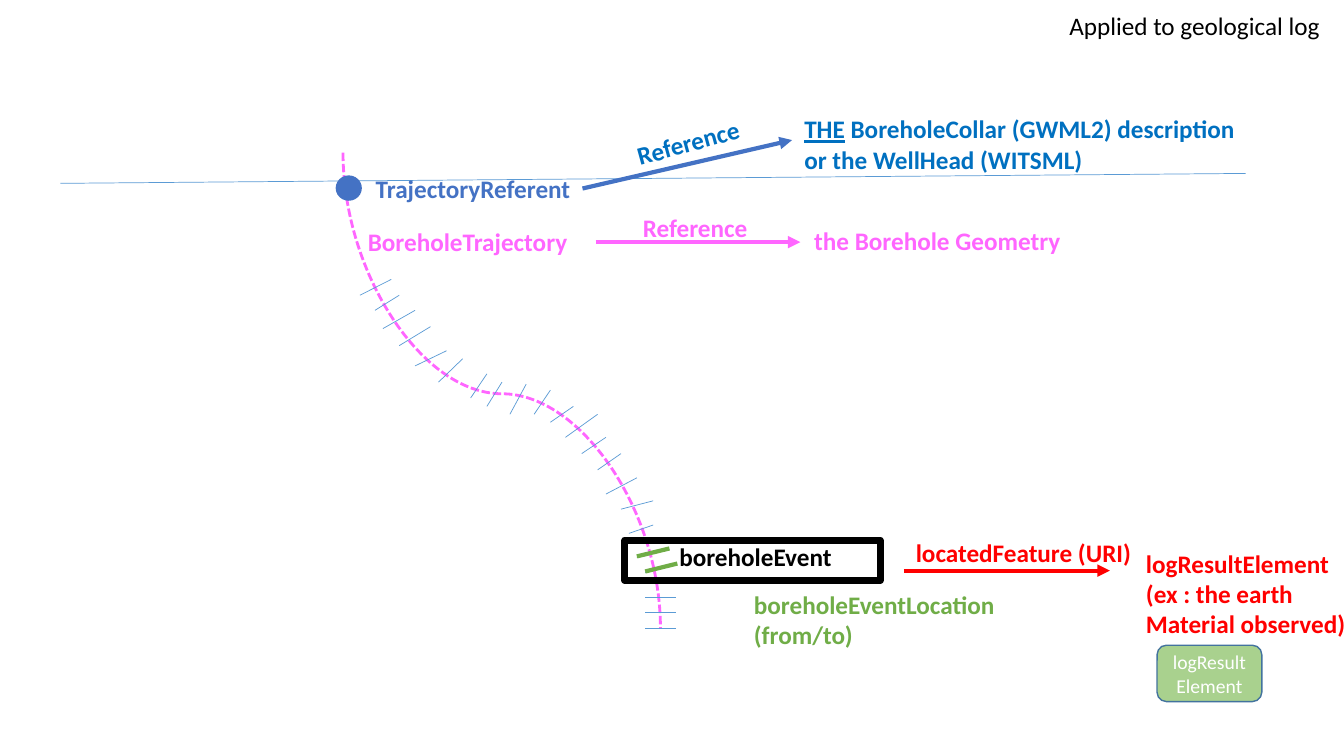
"""Builds the slide that applies the borehole model to a geological log."""
import dataclasses

import lxml.etree
import pptx
import pptx.dml.color
import pptx.enum.dml
import pptx.enum.shapes
import pptx.enum.text
import pptx.oxml.ns
import pptx.util


@dataclasses.dataclass(frozen=True)
class Theme:
    """Colours, font and type sizes of the slide."""
    font: str = "Calibri"
    body: int = 18
    small: int = 14
    black: str = "000000"
    white: str = "FFFFFF"
    pink: str = "FF66FF"
    red: str = "FF0000"
    sky: str = "5B9BD5"
    blue: str = "4472C4"
    deep_blue: str = "0070C0"
    green: str = "70AD47"
    pale_green: str = "A9D18E"
    outline: str = "43739E"


THEME = Theme()

TICKS = [
    (9.07, 7.44, 9.86, 7.04), (9.45, 7.82, 10.06, 7.44),
    (9.65, 8.28, 10.46, 7.82), (10.06, 8.71, 10.85, 8.23),
    (10.46, 9.22, 11.25, 8.84), (11.05, 9.63, 11.66, 9.04),
    (11.86, 10.03, 12.27, 9.42), (12.27, 10.24, 12.65, 9.63),
    (12.85, 10.44, 13.26, 9.68), (13.46, 10.44, 13.87, 9.83),
    (13.87, 10.64, 14.45, 10.24), (14.25, 11.02, 15.06, 10.44),
    (14.66, 11.43, 15.27, 11.02), (15.06, 11.84, 15.65, 11.43),
    (15.27, 12.45, 16.05, 12.04), (15.65, 12.83, 16.46, 12.62),
    (15.85, 13.44, 16.46, 13.23), (16.05, 14.05, 16.87, 13.84),
    (16.26, 14.43, 17.04, 14.22),
] + [(16.26, 15.04 + 0.4 * row, 17.04, 15.04 + 0.4 * row) for row in range(3)]

EVENT_BOUNDS = [(16.05, 14.02, 16.87, 13.82), (16.26, 14.4, 17.07, 14.2)]


def rgb(color):
    """Return the colour object for a hex string."""
    return pptx.dml.color.RGBColor.from_string(color)


def cm(*values):
    """Return the values as centimetre lengths."""
    return [pptx.util.Cm(value) for value in values]


def write(paragraph, text, *, color, size=THEME.body, bold=True, underline=False):
    """Add a formatted run to a paragraph."""
    run = paragraph.add_run()
    run.text = text
    run.font.name = THEME.font
    run.font.size = pptx.util.Pt(size)
    run.font.bold = bold
    run.font.underline = underline
    run.font.color.rgb = rgb(color)


def add_label(slide, place, lines, color, *, bold=True, wrap=False, rotation=0, underlined=""):
    """Add a text box with one paragraph per line, led by an underlined word if given."""
    label = slide.shapes.add_textbox(*cm(*place))
    label.rotation = rotation
    frame = label.text_frame
    frame.word_wrap = wrap
    frame.auto_size = pptx.enum.text.MSO_AUTO_SIZE.SHAPE_TO_FIT_TEXT
    if underlined:
        write(frame.paragraphs[0], underlined, color=color, bold=bold, underline=True)
    for index, line in enumerate(lines):
        paragraph = frame.add_paragraph() if index else frame.paragraphs[0]
        write(paragraph, line, color=color, bold=bold)


def add_line(slide, ends, color, width, *, kind="STRAIGHT", arrow=False):
    """Add a connector between two points, with an arrowhead if asked."""
    connector = slide.shapes.add_connector(
        pptx.enum.shapes.MSO_CONNECTOR[kind], *cm(*ends))
    connector.line.color.rgb = rgb(color)
    connector.line.width = pptx.util.Pt(width)
    if arrow:
        lxml.etree.SubElement(connector.line._get_or_add_ln(),
                              pptx.oxml.ns.qn("a:tailEnd"), type="triangle")
    lxml.etree.SubElement(connector._element.spPr, pptx.oxml.ns.qn("a:effectLst"))
    return connector


def add_trajectory(slide):
    """Add the dashed S-curve of the borehole."""
    trajectory = add_line(slide, (6.65, 5.84, 18.64, 13.84), THEME.pink, 2, kind="CURVE")
    trajectory.line.dash_style = pptx.enum.dml.MSO_LINE.SQUARE_DOT
    properties = trajectory._element.spPr
    placement = properties.find(pptx.oxml.ns.qn("a:xfrm"))
    placement.set("rot", str(270 * 60000))
    placement.set("flipH", "1")
    adjustments = next(properties.iter(pptx.oxml.ns.qn("a:avLst")))
    lxml.etree.SubElement(adjustments, pptx.oxml.ns.qn("a:gd"), name="adj1", fmla="val 50700")


def add_figure(slide, kind, place, *, fill=None, line=None, width=1):
    """Add a preset shape with an optional fill and outline."""
    figure = slide.shapes.add_shape(pptx.enum.shapes.MSO_SHAPE[kind], *cm(*place))
    figure.shadow.inherit = False
    if fill:
        figure.fill.solid()
        figure.fill.fore_color.rgb = rgb(fill)
    else:
        figure.fill.background()
    if line:
        figure.line.color.rgb = rgb(line)
        figure.line.width = pptx.util.Pt(width)
    else:
        figure.line.fill.background()
    return figure


def add_result_element(slide):
    """Add the rounded box that stands for the log result element."""
    element = add_figure(slide, "ROUNDED_RECTANGLE", (29.16, 16.26, 2.64, 1.42),
                         fill=THEME.pale_green, line=THEME.outline)
    frame = element.text_frame
    frame.word_wrap = True
    frame.vertical_anchor = pptx.enum.text.MSO_ANCHOR.MIDDLE
    frame.paragraphs[0].alignment = pptx.enum.text.PP_ALIGN.CENTER
    write(frame.paragraphs[0], "logResultElement", color=THEME.white,
          size=THEME.small, bold=False)


def main():
    """Build the slide and save it."""
    deck = pptx.Presentation()
    deck.slide_width, deck.slide_height = cm(33.87, 19.05)
    slide = deck.slides.add_slide(deck.slide_layouts[6])

    add_trajectory(slide)
    for tick in TICKS:
        add_line(slide, tick, THEME.sky, 0.5)
    add_line(slide, (1.52, 4.62, 31.39, 4.37), THEME.sky, 0.5)
    add_figure(slide, "OVAL", (8.46, 4.42, 0.66, 0.64), fill=THEME.blue)

    add_label(slide, (26.7, 0.13, 7.19, 1.02), ["Applied to geological log"],
              THEME.black, bold=False, wrap=True)

    add_label(slide, (9.22, 4.24, 5.46, 1.02), ["TrajectoryReferent"], THEME.blue)
    add_line(slide, (14.68, 4.75, 19.96, 3.53), THEME.blue, 3, arrow=True)
    add_label(slide, (15.77, 3.07, 3.18, 1.02), ["Reference"], THEME.deep_blue, rotation=344.6)
    add_label(slide, (20.02, 2.74, 11.46, 1.8),
              [" BoreholeCollar (GWML2) description", "or the WellHead (WITSML)"],
              THEME.deep_blue, underlined="THE")

    add_label(slide, (9.02, 5.59, 5.59, 1.02), ["BoreholeTrajectory"], THEME.pink)
    add_line(slide, (15.01, 6.1, 20.17, 6.1), THEME.pink, 3, arrow=True)
    add_label(slide, (15.95, 5.23, 3.18, 1.02), ["Reference"], THEME.pink)
    add_label(slide, (20.27, 5.56, 6.76, 1.02), ["the Borehole Geometry"], THEME.pink)

    for bound in EVENT_BOUNDS:
        add_line(slide, bound, THEME.green, 3)
    add_label(slide, (18.75, 14.73, 6.63, 1.8), ["boreholeEventLocation", "(from/to)"],
              THEME.green)
    add_label(slide, (16.87, 13.51, 4.37, 1.02), ["boreholeEvent"], THEME.black)
    add_figure(slide, "RECTANGLE", (15.75, 13.61, 6.43, 1.02), line=THEME.black, width=5)

    add_line(slide, (22.78, 14.38, 27.97, 14.38), THEME.red, 3, arrow=True)
    add_label(slide, (22.83, 13.41, 5.97, 1.02), ["locatedFeature (URI)"], THEME.red)
    add_label(slide, (28.63, 13.69, 5.56, 2.57),
              ["logResultElement", "(ex : the earth", "Material observed)"], THEME.red)
    add_result_element(slide)

    deck.save("out.pptx")


if __name__ == "__main__":
    main()
